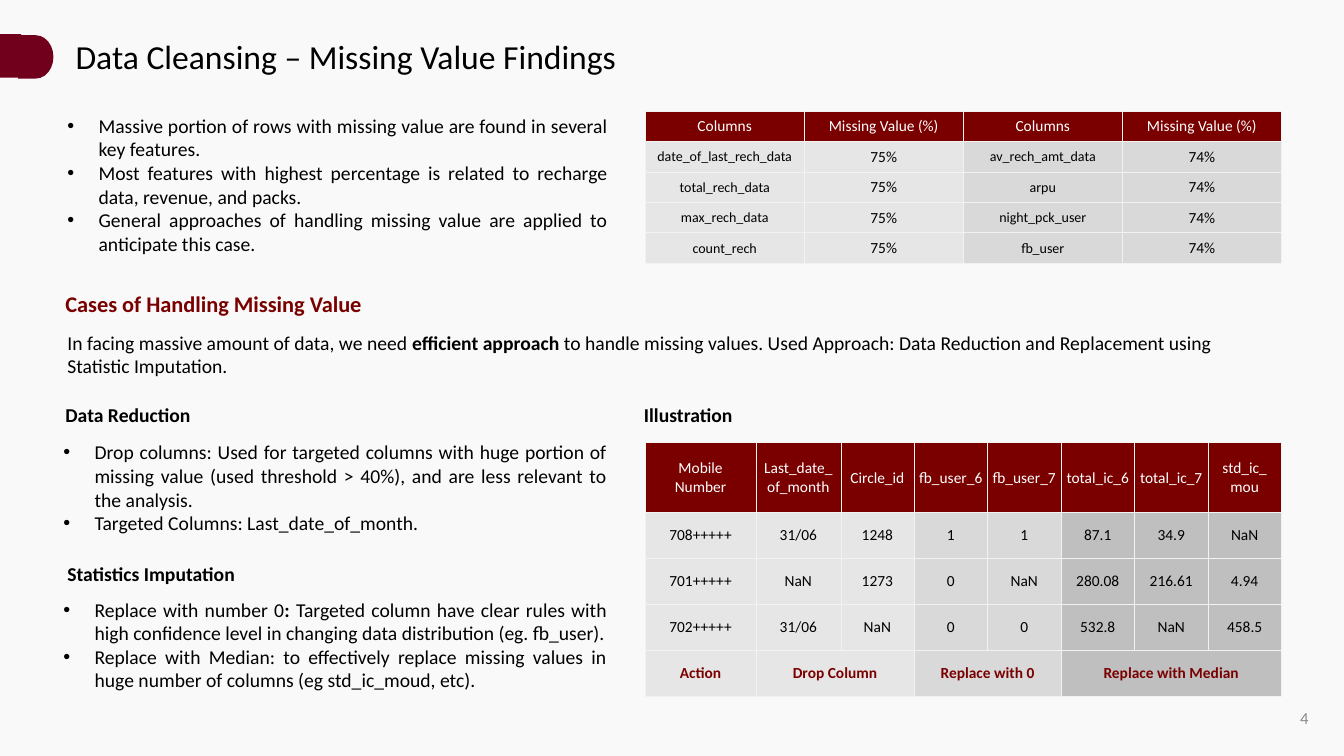
from dataclasses import dataclass

from lxml import etree
from pptx import Presentation, util as u
from pptx.dml.color import RGBColor
from pptx.enum import shapes, text
from pptx.oxml import ns

CELL = 0.1  # grid step in inches: 133.33 columns by 75 rows
COLS, ROWS = 133.33, 75


@dataclass(frozen=True)
class Theme:
    font: str = "Calibri"
    back: str = "F9F9F9"
    ink: str = "000000"
    white: str = "FFFFFF"
    red: str = "7A0000"
    tab: str = "71001C"
    mute: str = "8C8C8C"
    line: str = "F2F2F2"
    pale: str = "E7E6E6"
    mid: str = "D9D9D9"
    dark: str = "BFBFBF"
    title: int = 24
    head: int = 16
    body: int = 14
    page: int = 12
    cell: int = 11
    small: int = 10


T = Theme()
ALIGN, ANCHOR = text.PP_ALIGN, text.MSO_ANCHOR


def grid(n):
    return u.Inches(n * CELL)


def place(box, x, y, w, h):
    """Offset a part from the top left corner of its region."""
    return [grid(n) for n in (box[0] + x, box[1] + y, w, h)]


def paint(fill, tone):
    fill.solid()
    fill.fore_color.rgb = RGBColor.from_string(tone)


def add_run(para, words, size, tone=T.ink, bold=False):
    for i, part in enumerate(words.split("\n")):
        if i:
            para.add_line_break()
        run = para.add_run()
        run.text = part
        font = run.font
        font.name, font.size, font.bold = T.font, u.Pt(size), bold
        font.color.rgb = RGBColor.from_string(tone)


def add_bullet(para):
    props = para._p.get_or_add_pPr()
    props.set("marL", str(u.Inches(0.31)))
    props.set("indent", str(u.Inches(-0.31)))
    etree.SubElement(props, ns.qn("a:buFont"), typeface="Arial")
    etree.SubElement(props, ns.qn("a:buChar"), char="•")


def add_text(slide, spot, paras, size=T.body, tone=T.ink, align=ALIGN.LEFT,
             bullet=False, anchor=ANCHOR.TOP):
    """Each paragraph is a list of (words, bold) runs."""
    frame = slide.shapes.add_textbox(*spot).text_frame
    frame.word_wrap, frame.vertical_anchor = True, anchor
    for i, runs in enumerate(paras):
        para = frame.add_paragraph() if i else frame.paragraphs[0]
        para.alignment = align
        if bullet:
            add_bullet(para)
        for words, bold in runs:
            add_run(para, words, size, tone, bold)


def add_list(slide, spot, paras):
    add_text(slide, spot, paras, align=ALIGN.JUSTIFY, bullet=True)


def add_edges(cell):
    props = cell._tc.get_or_add_tcPr()
    for side in ("lnL", "lnR", "lnT", "lnB"):
        line = etree.SubElement(props, ns.qn("a:" + side), w=str(u.Pt(0.25)))
        fill = etree.SubElement(line, ns.qn("a:solidFill"))
        etree.SubElement(fill, ns.qn("a:srgbClr"), val=T.line)


def add_table(slide, spot, cols, rows, data, fills, look, loose=()):
    """look(row, col) gives size, colour and bold; loose cells keep wide margins."""
    table = slide.shapes.add_table(len(rows), len(cols), *spot).table
    table.first_row = table.horz_banding = False
    for col, wide in zip(table.columns, cols):
        col.width = grid(wide)
    for row, high in zip(table.rows, rows):
        row.height = grid(high)
    for r, line in enumerate(data):
        for c, words in enumerate(line):
            cell = table.cell(r, c)
            add_edges(cell)
            paint(cell.fill, fills[c] if r else T.red)
            cell.vertical_anchor = ANCHOR.MIDDLE
            if (r, c) not in loose:
                cell.margin_left = cell.margin_right = cell.margin_top = u.Inches(0.01)
                cell.margin_bottom = 0
            if words is not None:
                para = cell.text_frame.paragraphs[0]
                para.alignment = ALIGN.CENTER
                add_run(para, words, *look(r, c))
    return table


def header(slide, box):
    # Side tab
    tab = slide.shapes.add_group_shape()
    for kind, part in ((shapes.MSO_SHAPE.FLOWCHART_DELAY, (1.8, 0.4, 3.5, 4.3)),
                       (shapes.MSO_SHAPE.RECTANGLE, (0, 0.3, 2.1, 4.3))):
        shape = tab.shapes.add_shape(kind, *place(box, *part))
        shape.shadow.inherit = False
        paint(shape.fill, T.tab)
        shape.line.fill.background()
    # Title
    title = slide.shapes.title
    title.left, title.top, title.width, title.height = place(box, 6.5, 0, 102.9, 5)
    frame = title.text_frame
    frame.auto_size, frame.vertical_anchor = text.MSO_AUTO_SIZE.NONE, ANCHOR.TOP
    frame.paragraphs[0].alignment = ALIGN.LEFT
    add_run(frame.paragraphs[0], "Data Cleansing – Missing Value Findings", T.title)


def findings(slide, box):
    # Key points
    points = ("Massive portion of rows with missing value are found in several key features.",
              "Most features with highest percentage is related to recharge data, revenue, and packs.",
              "General approaches of handling missing value are applied to anticipate this case.")
    add_list(slide, place(box, 0, 0, 55.6, 15.1), [[(p, False)] for p in points])
    # Share of missing values
    left = "date_of_last_rech_data", "total_rech_data", "max_rech_data", "count_rech"
    right = "av_rech_amt_data", "arpu", "night_pck_user", "fb_user"
    data = [("Columns", "Missing Value (%)") * 2]
    data += [(a, "75%", b, "74%") for a, b in zip(left, right)]

    def look(r, c):
        if r == 0:
            return T.cell, T.white
        return (T.cell if c % 2 else T.small), T.ink

    add_table(slide, place(box, 58.3, 0.2, 63.1, 15.1), [15.78] * 4, [3.02] * 5,
              data, [T.pale] * 2 + [T.mid] * 2, look)


def cases(slide, box):
    add_text(slide, place(box, 0, 0, 34.4, 3.7),
             [[("Cases of Handling Missing Value", True)]], T.head, T.red)
    add_text(slide, place(box, 0.2, 4, 120.8, 5.7), [[
        ("In facing massive amount of data, we need ", False),
        ("efficient approach ", True),
        ("to handle missing values. Used Approach: Data Reduction and Replacement "
         "using Statistic Imputation.", False)]])


def methods(slide, box):
    # Data reduction
    add_text(slide, place(box, 0.2, 0, 24.8, 3.4), [[("Data Reduction", True)]])
    add_list(slide, place(box, 0, 3.7, 55.9, 10.4), [
        [("Drop columns: Used for targeted columns with huge portion of missing value "
          "(used threshold > 40%), and are less relevant to the analysis.", False)],
        [("Targeted Columns: Last_date_of_month.", False)]])
    # Imputation
    add_text(slide, place(box, 0.4, 15.8, 50.7, 3.4), [[("Statistics Imputation", True)]])
    add_list(slide, place(box, 0, 19.3, 55.9, 10.4), [
        [("Replace with number 0", False), (": ", True),
         ("Targeted column have clear rules with high confidence level in changing "
          "data distribution (eg. fb_user).", False)],
        [("Replace with Median: to effectively replace missing values in huge number "
          "of columns (eg std_ic_moud, etc).", False)]])


def sample(slide, box):
    add_text(slide, place(box, 0, 0, 24.8, 3.4), [[("Illustration", True)]])
    data = [
        ("Mobile Number", "Last_date_\nof_month", "Circle_id", "fb_user_6", "fb_user_7",
         "total_ic_6", "total_ic_7", "std_ic_\nmou"),
        ("708+++++", "31/06", "1248", "1", "1", "87.1", "34.9", "NaN"),
        ("701+++++", "NaN", "1273", "0", "NaN", "280.08", "216.61", "4.94"),
        ("702+++++", "31/06", "NaN", "0", "0", "532.8", "NaN", "458.5"),
        ("Action", "Drop Column", None, "Replace with 0", None,
         "Replace with Median", None, None)]
    last = len(data) - 1

    def look(r, c):
        return T.cell, {0: T.white, last: T.red}.get(r, T.ink), r == last

    loose = {(r, 0) for r in range(last + 1)} | {(r, 7) for r in range(1, last)}
    table = add_table(slide, place(box, 1.1, 4.4, 63.1, 25.2),
                      [11, 8.4] + [7.29] * 6, [6.9] + [4.57] * 4, data,
                      [T.pale] * 3 + [T.mid] * 2 + [T.dark] * 3, look, loose)
    # Actions span the columns they treat
    for a, b in ((1, 2), (3, 4), (5, 7)):
        table.cell(last, a).merge(table.cell(last, b))


def footer(slide, box):
    add_text(slide, place(box, 0, 0, 22.5, 4), [[("4", False)]], T.page, T.mute,
             ALIGN.RIGHT, anchor=ANCHOR.MIDDLE)


def main():
    deck = Presentation()
    deck.slide_width, deck.slide_height = grid(COLS), grid(ROWS)
    slide = deck.slides.add_slide(deck.slide_layouts[5])
    paint(slide.background.fill, T.back)
    header(slide, (0, 3.1))
    findings(slide, (5.7, 10.8))
    cases(slide, (5.5, 28.3))
    methods(slide, (5.3, 39.5))
    sample(slide, (62.9, 39.5))
    footer(slide, (108.3, 69.2))
    deck.save("out.pptx")


if __name__ == "__main__":
    main()
